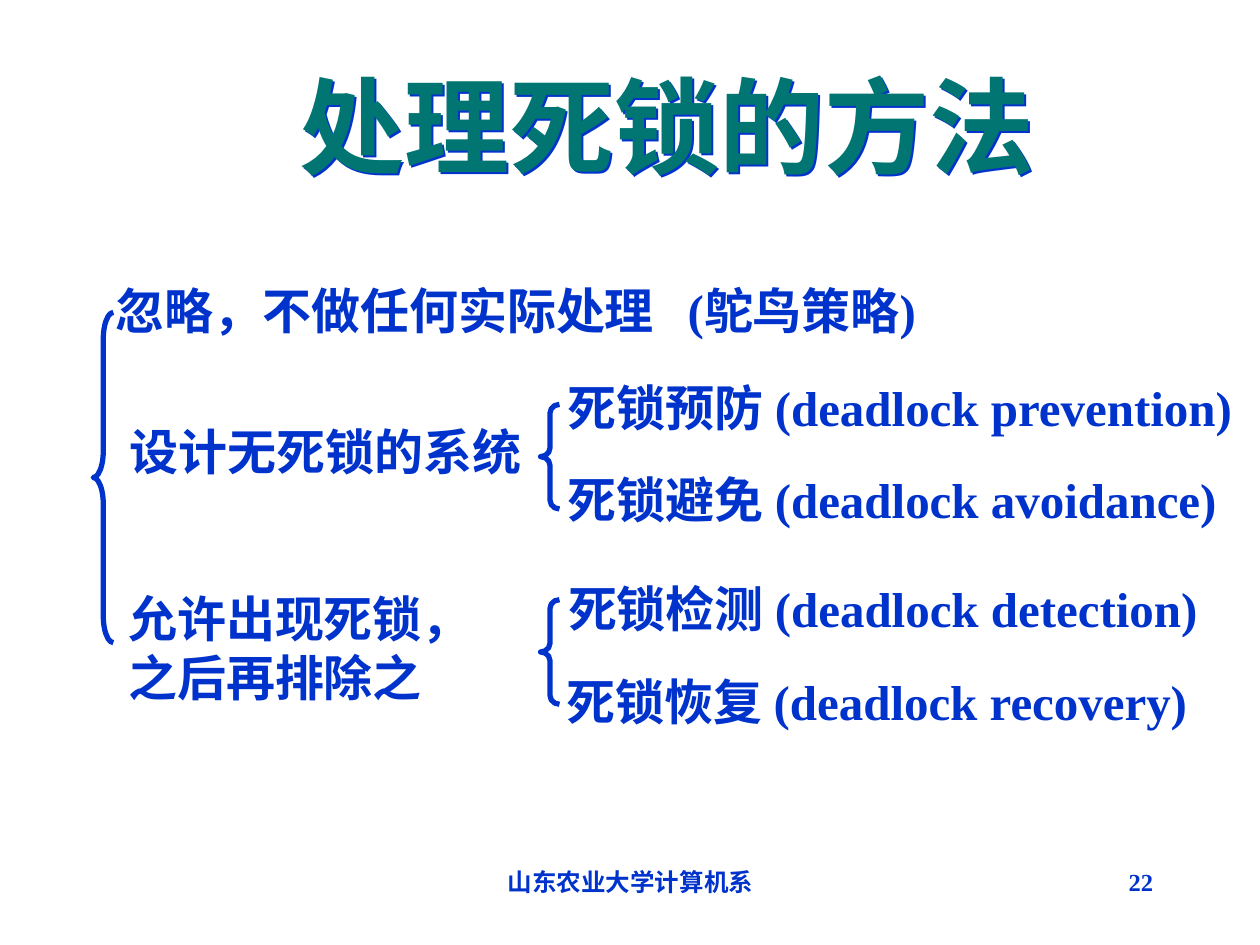
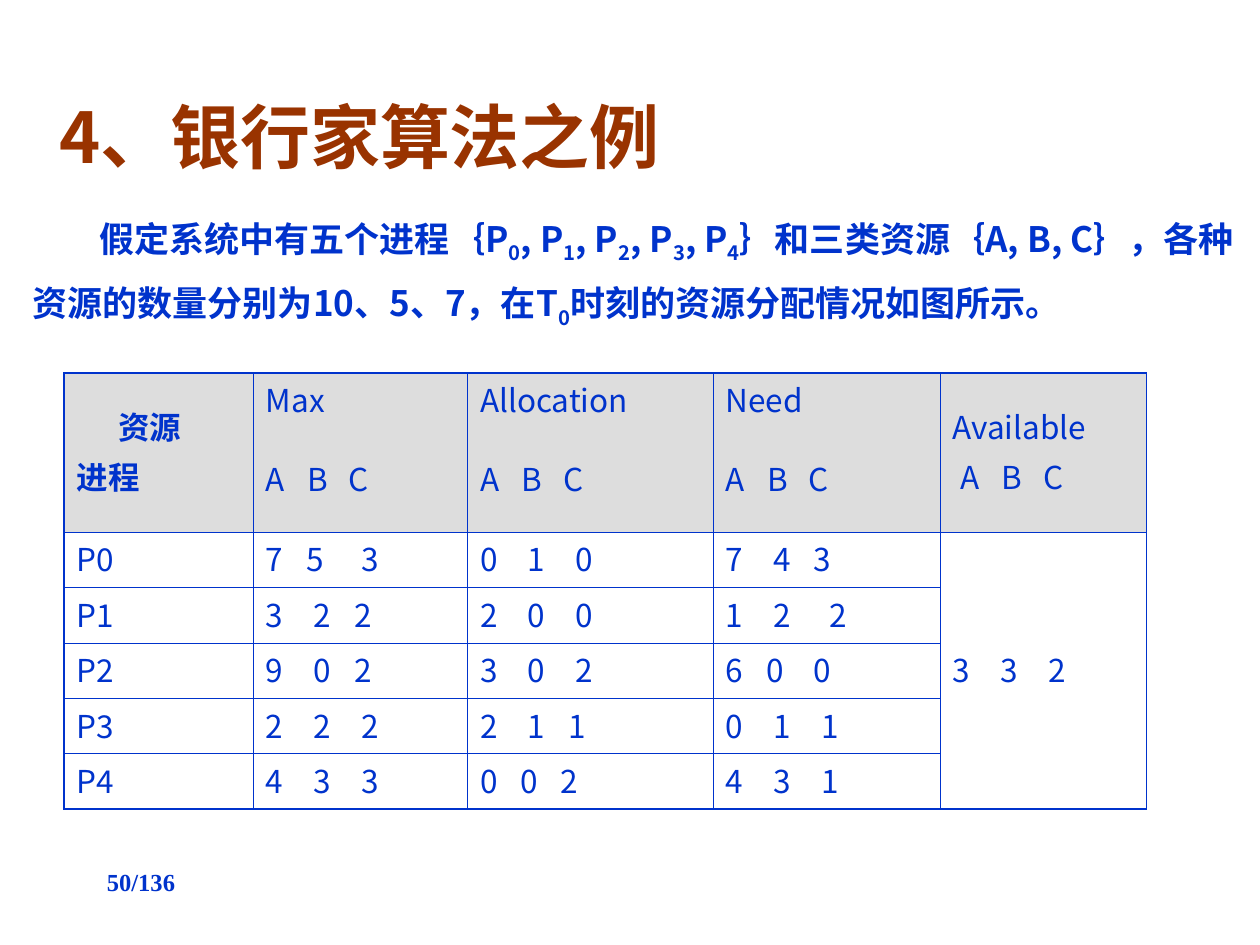
"""Build two slides on deadlock handling and the banker's algorithm."""
import dataclasses
import typing

import lxml.etree
import pptx
import pptx.dml.color
import pptx.enum.shapes
import pptx.enum.text
import pptx.oxml.ns
import pptx.util

Inches = pptx.util.Inches
Pt = pptx.util.Pt
Align = pptx.enum.text.PP_ALIGN
qn = pptx.oxml.ns.qn


@dataclasses.dataclass(frozen=True)
class Theme:
    """Colours, fonts and sizes shared by the slides."""
    blue: str = "0033CC"
    teal: str = "007572"
    brown: str = "993300"
    grey: str = "DDDDDD"
    serif: str = "Times New Roman"
    sans: str = "Noto Sans CJK SC"
    banner: int = 60
    heading: int = 40
    item: int = 28
    body: int = 20
    cell: int = 18
    footer: int = 14
    thin: float = 0.45
    thick: float = 1.08


THEME = Theme()


class Area(typing.NamedTuple):
    """A rectangle in inches."""
    left: float
    top: float
    width: float
    height: float

    def lengths(self) -> list:
        """Return the four sides as slide lengths."""
        return [Inches(side) for side in self]


class Label(typing.NamedTuple):
    """One line of the method tree."""
    text: str
    area: Area
    tabs: tuple = ()


class Brace(typing.NamedTuple):
    """A left brace and the curvature of its ends."""
    area: Area
    curve: float


class Triple(typing.NamedTuple):
    """Values for A, B and C with the gaps between them."""
    values: str
    gaps: tuple = (3, 3)


LABELS = [
    Label("忽略，不做任何实际处理\t(鸵鸟策略)", Area(0.82, 2.18, 6.73, 0.56), (4.54,)),
    Label("设计无死锁的系统", Area(0.93, 3.3, 3.3, 0.56)),
    Label("允许出现死锁，\n之后再排除之", Area(0.92, 4.62, 3.33, 1.03)),
    Label("死锁预防 (deadlock prevention)", Area(4.41, 2.95, 5.56, 0.56)),
    Label("死锁避免 (deadlock avoidance)", Area(4.41, 3.68, 5.43, 0.56)),
    Label("死锁检测 (deadlock detection)", Area(4.41, 4.54, 5.28, 0.56)),
    Label("死锁恢复 (deadlock recovery)", Area(4.4, 5.28, 5.21, 0.56)),
]
BRACES = [
    Brace(Area(4.29, 3.21, 0.15, 0.83), 0.46),
    Brace(Area(4.29, 4.76, 0.15, 0.83), 0.46),
    Brace(Area(0.74, 2.48, 0.16, 2.62), 1.33),
]
COLUMNS = [1.5, 1.7, 1.95, 1.8, 1.64]
ROWS = [0.33, 0.73] + [0.44] * 5
MERGES = [(0, 1, 0), (0, 1, 4), (2, 6, 4)]
GROUPS = ["Max", "Allocation", "Need"]
PROCESSES = [
    [Triple("753", (3, 5)), Triple("010", (4, 4)), Triple("743", (4, 3))],
    [Triple("322", (4, 3)), Triple("200", (4, 4)), Triple("122", (4, 5))],
    [Triple("902", (4, 3)), Triple("302", (4, 4)), Triple("600", (3, 4))],
    [Triple("222", (4, 4)), Triple("211", (4, 3)), Triple("011", (4, 4))],
    [Triple("433", (4, 4)), Triple("002", (3, 3)), Triple("431", (4, 4))],
]


def add_span(para, text: str, *, size: float, color: str, face: str,
             bold: bool, lowered: bool = False) -> None:
    """Add one formatted span to a paragraph."""
    span = para.add_run()
    span.text = text
    span.font.size = Pt(size)
    span.font.bold = bold
    span.font.color.rgb = pptx.dml.color.RGBColor.from_string(color)
    span.font.name = face
    props = span.font._element
    lxml.etree.SubElement(props, qn("a:ea"), typeface=THEME.sans)
    if lowered:
        props.set("baseline", "-25000")


def write(para, text: str, *, size: float = THEME.item, color: str = THEME.blue,
          face: str = THEME.serif, bold: bool = True, align=Align.LEFT,
          spacing=None, before: float = 0, first: float = 0,
          tabs: typing.Sequence[float] = ()) -> None:
    """Write text in a paragraph; an underscore lowers the next character."""
    para.alignment = align
    if before:
        para.space_before = Pt(before)
    if spacing:
        para.line_spacing = spacing
    props = para._p.get_or_add_pPr()
    if first:
        props.set("indent", str(Inches(first)))
    if tabs:
        stops = lxml.etree.SubElement(props, qn("a:tabLst"))
        for stop in tabs:
            lxml.etree.SubElement(stops, qn("a:tab"), pos=str(Inches(stop)), algn="l")
    style = dict(size=size, color=color, face=face, bold=bold)
    for number, line in enumerate(text.split("\n")):
        if number:
            para.add_line_break()
        start, *rest = line.split("_")
        add_span(para, start, **style)
        for part in rest:
            add_span(para, part[0], lowered=True, **style)
            if part[1:]:
                add_span(para, part[1:], **style)


def add_text(page, text: str, area: Area, *, right: float = 0.1,
             top: float = 0.05, **style):
    """Add a text box holding one paragraph."""
    box = page.shapes.add_textbox(*area.lengths())
    box.text_frame.word_wrap = True
    box.text_frame.margin_right = Inches(right)
    box.text_frame.margin_top = Inches(top)
    write(box.text_frame.paragraphs[0], text, **style)
    return box


def add_footer(page, text: str, area: Area, align=Align.LEFT) -> None:
    """Add a footer text."""
    add_text(page, text, area, size=THEME.footer, align=align)


def add_text_shadow(box, color: str) -> None:
    """Cast a hard shadow to the lower right of a text box."""
    effects = lxml.etree.SubElement(box._element.spPr, qn("a:effectLst"))
    shadow = lxml.etree.SubElement(effects, qn("a:outerShdw"), dist=str(Inches(0.02)),
                                   dir="2700000", algn="ctr", rotWithShape="0")
    lxml.etree.SubElement(shadow, qn("a:srgbClr"), val=color)


def add_brace(page, brace: Brace) -> None:
    """Draw a left brace."""
    kind = pptx.enum.shapes.MSO_SHAPE.LEFT_BRACE
    shape = page.shapes.add_shape(kind, *brace.area.lengths())
    shape.adjustments[0] = brace.curve
    shape.shadow.inherit = False
    shape.fill.background()
    shape.line.width = Pt(3)
    shape.line.color.rgb = pptx.dml.color.RGBColor.from_string(THEME.blue)


def set_borders(cell, widths: dict) -> None:
    """Set the left, right, top and bottom borders; zero hides one."""
    props = cell._tc.get_or_add_tcPr()
    for place, side in enumerate("LRTB"):
        line = lxml.etree.Element(qn("a:ln" + side), w=str(Pt(widths[side])))
        if widths[side]:
            fill = lxml.etree.SubElement(line, qn("a:solidFill"))
            lxml.etree.SubElement(fill, qn("a:srgbClr"), val=THEME.blue)
        else:
            lxml.etree.SubElement(line, qn("a:noFill"))
        props.insert(place, line)


def style_cell(cell, row: int, column: int) -> None:
    """Give a cell its fill, anchor and borders."""
    cell.vertical_anchor = pptx.enum.text.MSO_ANCHOR.MIDDLE
    if row < 2:
        cell.fill.solid()
        cell.fill.fore_color.rgb = pptx.dml.color.RGBColor.from_string(THEME.grey)
    else:
        cell.fill.background()
    last = len(ROWS) - 1
    end = next((bottom for top, bottom, place in MERGES
                if place == column and top == row), row)
    covered = any(place == column and top < row <= bottom for top, bottom, place in MERGES)
    set_borders(cell, {
        "L": THEME.thick if column == 0 else THEME.thin,
        "R": THEME.thick if column == len(COLUMNS) - 1 else THEME.thin,
        "T": THEME.thick if row == 0 else 0 if covered or row == 1 else THEME.thin,
        "B": THEME.thick if end == last else 0 if end == 0 else THEME.thin,
    })


def write_cell(para, text: str, **style) -> None:
    """Write a table paragraph."""
    write(para, text, **{"size": THEME.cell, "face": THEME.sans, "bold": False,
                         "spacing": Pt(24), **style})


def write_triple(para, triple: Triple, *, start: float = 0, **style) -> None:
    """Write three values at tab stops that follow from their gaps."""
    glyph = 0.15 if triple.values.isalpha() else 0.14
    second = start + glyph + 0.06 * triple.gaps[0]
    third = second + glyph + 0.06 * triple.gaps[1]
    text = "\t".join(triple.values)
    if start:
        write_cell(para, "\t" + text, tabs=(start, second, third), **style)
    else:
        write_cell(para, text, tabs=(second, third), **style)


def add_allocation_table(page) -> None:
    """Draw the resource allocation table."""
    area = Area(0.51, 2.96, sum(COLUMNS), sum(ROWS))
    table = page.shapes.add_table(len(ROWS), len(COLUMNS), *area.lengths()).table
    table.first_row = table.horz_banding = False
    for column, width in zip(table.columns, COLUMNS):
        column.width = Inches(width)
    for row, height in zip(table.rows, ROWS):
        row.height = Inches(height)
    for row in range(len(ROWS)):
        for column in range(len(COLUMNS)):
            style_cell(table.cell(row, column), row, column)
    for top, bottom, column in MERGES:
        table.cell(top, column).merge(table.cell(bottom, column))

    def para(row: int, column: int):
        return table.cell(row, column).text_frame.paragraphs[0]

    letters = Triple("ABC")
    write_cell(para(0, 0), "资源", bold=True, first=0.33)
    write_cell(table.cell(0, 0).text_frame.add_paragraph(), "进程", bold=True, before=4.5)
    write_cell(para(0, 4), "Available")
    write_triple(table.cell(0, 4).text_frame.add_paragraph(), letters, start=0.06, before=4.5)
    write_triple(para(2, 4), Triple("332", (4, 4)))
    for column, group in enumerate(GROUPS, 1):
        write_cell(para(0, column), group)
        write_triple(para(1, column), letters)
    for number, triples in enumerate(PROCESSES):
        write_cell(para(number + 2, 0), f"P{number}")
        for column, triple in enumerate(triples, 1):
            write_triple(para(number + 2, column), triple)


def build_methods(page) -> None:
    """Build the slide on ways to handle deadlock."""
    add_footer(page, "山东农业大学计算机系", Area(3.42, 6.83, 3.17, 0.5), Align.CENTER)
    add_footer(page, "22", Area(7.17, 6.83, 2.08, 0.5), Align.RIGHT)
    title = add_text(page, "处理死锁的方法", Area(2.28, 0.44, 6.02, 1.1), right=0,
                     size=THEME.banner, color=THEME.teal)
    add_text_shadow(title, THEME.blue)
    for label in LABELS:
        add_text(page, label.text, label.area, right=0, tabs=label.tabs)
    for brace in BRACES:
        add_brace(page, brace)


def build_example(page) -> None:
    """Build the slide with the banker's algorithm example."""
    add_footer(page, "50/136", Area(0.75, 6.83, 2.25, 0.5))
    add_text(page, "4、银行家算法之例", Area(0.37, 0.69, 5.22, 0.77),
             size=THEME.heading, color=THEME.brown, face=THEME.sans)
    add_text(page, "假定系统中有五个进程｛P_0, P_1, P_2, P_3, P_4｝和三类资源｛A, B, C｝，"
             "各种资源的数量分别为10、5、7，在T_0时刻的资源分配情况如图所示。",
             Area(0.16, 1.47, 9.73, 1.2), top=0.12, size=THEME.body, face=THEME.sans,
             align=Align.JUSTIFY, spacing=1.35, first=0.53)
    add_allocation_table(page)


def main() -> None:
    """Build and save the deck."""
    deck = pptx.Presentation()
    deck.slide_width, deck.slide_height = Inches(10), Inches(7.5)
    for build in (build_methods, build_example):
        build(deck.slides.add_slide(deck.slide_layouts[6]))
    deck.save("out.pptx")


if __name__ == "__main__":
    main()
